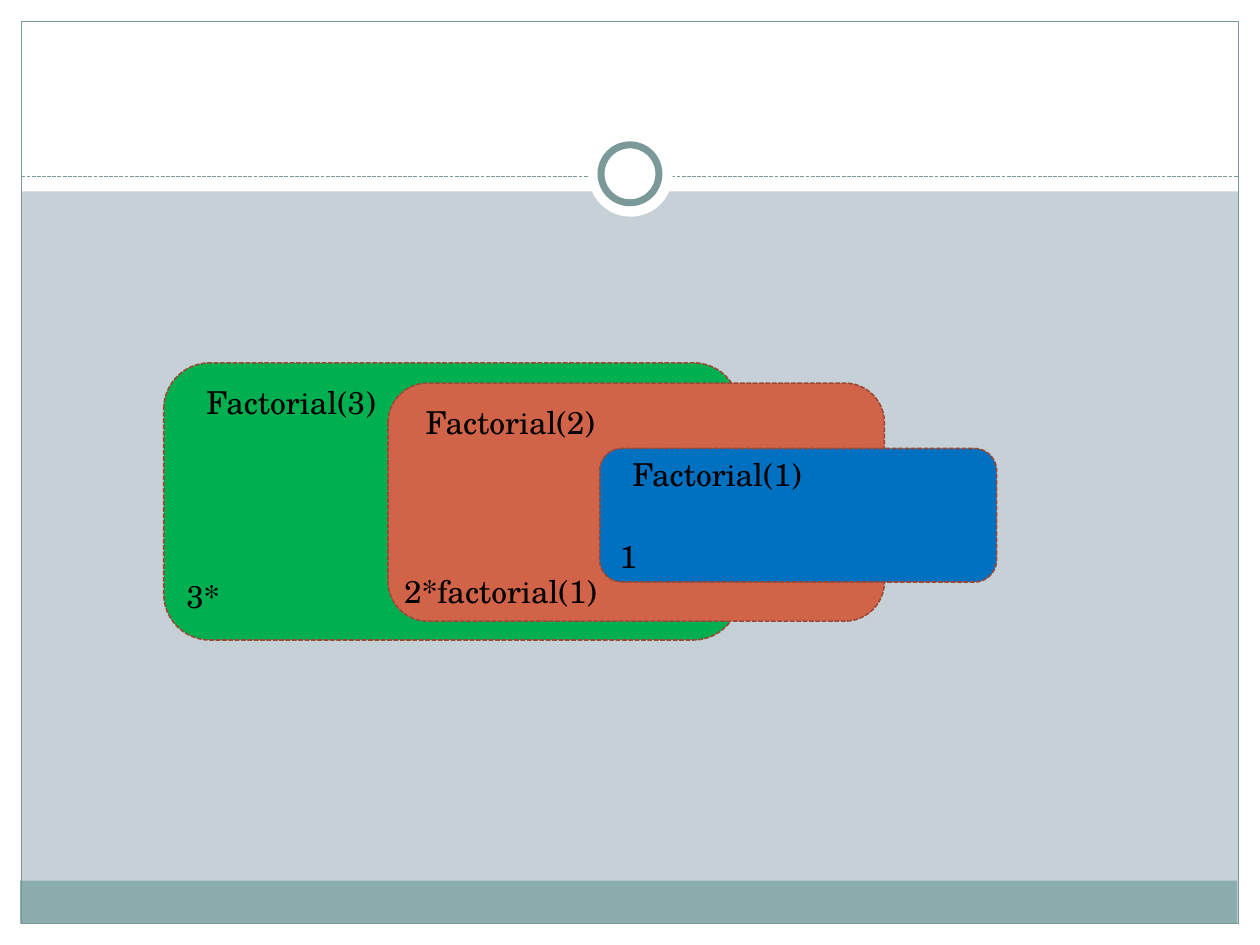
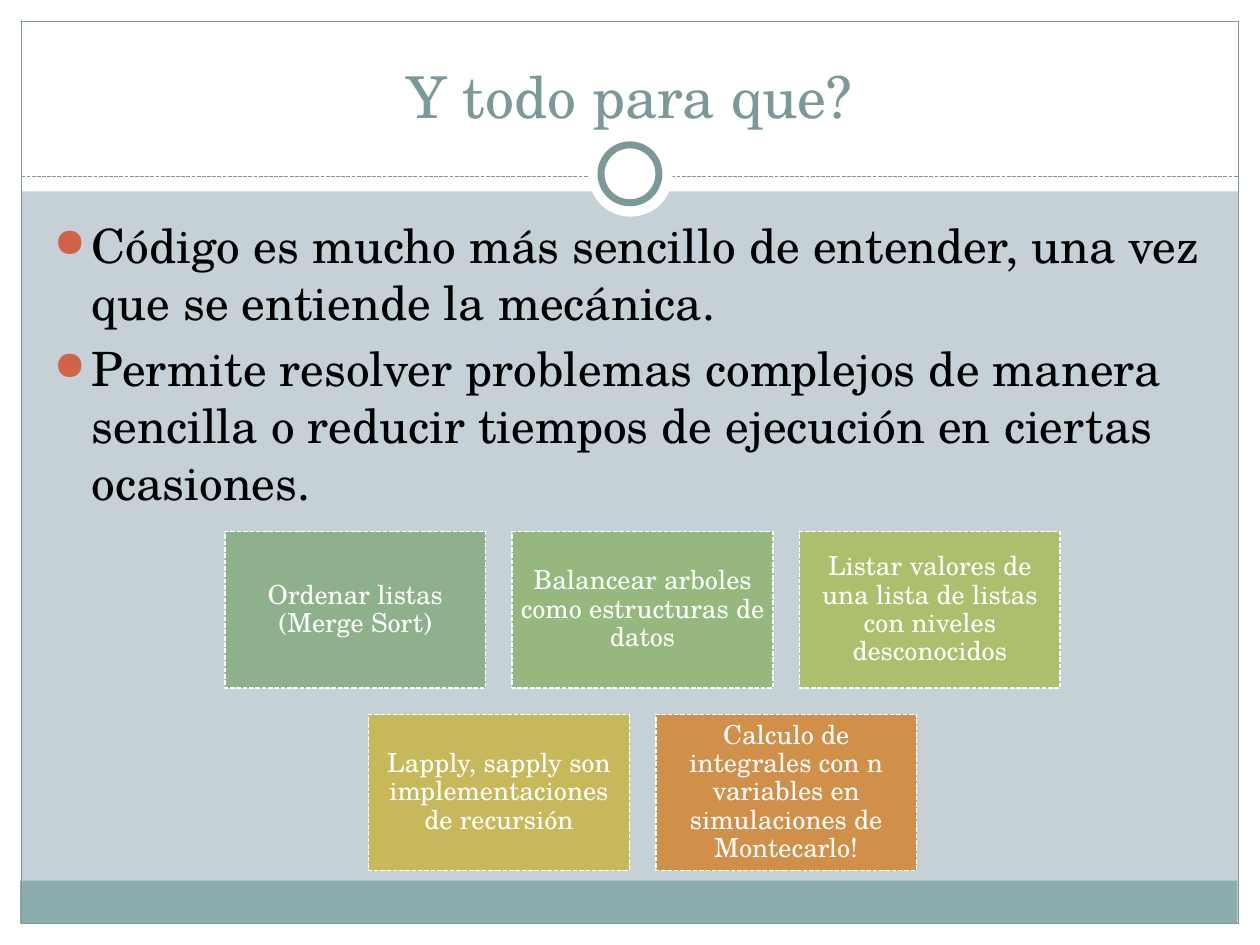
"""Build two slides on recursion: nested factorial calls and what recursion is for."""
import pptx
import pptx.dml.color
import pptx.enum.dml
import pptx.enum.shapes
import pptx.enum.text
import pptx.oxml.ns
import pptx.util
from lxml import etree

Inches = pptx.util.Inches
Pt = pptx.util.Pt
RGB = pptx.dml.color.RGBColor.from_string
SHAPE = pptx.enum.shapes.MSO_SHAPE
DASH = pptx.enum.dml.MSO_LINE.SQUARE_DOT
ALIGN = pptx.enum.text.PP_ALIGN
ANCHOR = pptx.enum.text.MSO_ANCHOR
qn = pptx.oxml.ns.qn

FONT = "TeX Gyre Schola"
COLORS = {
    "background": "C5D1D7", "white": "FFFFFF", "black": "000000",
    "teal": "7C999A", "footer": "8CADAE", "accent": "D16349",
    "outline": "9B4936", "green": "00B050", "blue": "0070C0",
    "sage": "8FB08C", "leaf": "96B77D", "lime": "ADBF6C",
    "mustard": "C7B95B", "orange": "D19049",
}


def add_box(s, kind, box, fill=None, line=None, width=0.75, dash=None):
    sp = s.shapes.add_shape(kind, *[Inches(v) for v in box])
    sp.shadow.inherit = False
    if fill:
        sp.fill.solid()
        sp.fill.fore_color.rgb = RGB(COLORS[fill])
    else:
        sp.fill.background()
    if line:
        sp.line.color.rgb = RGB(COLORS[line])
        sp.line.width = Pt(width)
        sp.line.dash_style = dash
    else:
        sp.line.fill.background()
    return sp


def add_text(sp, paragraphs, size, color, align=ALIGN.LEFT, anchor=ANCHOR.TOP):
    tf = sp.text_frame
    tf.word_wrap = True
    tf.vertical_anchor = anchor
    for i, text in enumerate(paragraphs):
        p = tf.paragraphs[0] if i == 0 else tf.add_paragraph()
        p.alignment = align
        r = p.add_run()
        r.text = text
        r.font.name = FONT
        r.font.size = Pt(size)
        r.font.color.rgb = RGB(COLORS[color])
    return tf


prs = pptx.Presentation()
prs.slide_width, prs.slide_height = Inches(10), Inches(7.5)

for _ in range(2):
    s = prs.slides.add_slide(prs.slide_layouts[6])
    s.background.fill.solid()
    s.background.fill.fore_color.rgb = RGB(COLORS["background"])
    for band in [(0, 7.33, 10, 0.17), (0, 0, 10, 1.52),
                 (0, 0, 0.17, 7.5), (9.83, 0, 0.17, 7.5)]:
        add_box(s, SHAPE.RECTANGLE, band, "white")
    add_box(s, SHAPE.RECTANGLE, (0.16, 6.99, 9.66, 0.34), "footer")
    add_box(s, SHAPE.RECTANGLE, (0.17, 0.17, 9.66, 7.16), line="teal")
    rule = s.shapes.add_connector(pptx.enum.shapes.MSO_CONNECTOR.STRAIGHT,
                                  Inches(0.17), Inches(1.4), Inches(9.83), Inches(1.4))
    rule.line.color.rgb = RGB(COLORS["teal"])
    rule.line.width = Pt(0.75)
    rule.line.dash_style = DASH
    etree.SubElement(rule.element.spPr, qn("a:effectLst"))
    add_box(s, SHAPE.OVAL, (4.67, 1.05, 0.67, 0.67), "white")
    add_box(s, SHAPE.OVAL, (4.77, 1.15, 0.46, 0.46), "white", "teal", 4)

calls_slide, uses_slide = prs.slides

calls = [
    ((1.3, 2.88, 4.57, 2.2), "green", "Factorial(3)", (1.54, 2.99), "3*", (1.38, 4.53)),
    ((3.08, 3.04, 3.94, 1.89), "accent", "Factorial(2)", (3.28, 3.15), "2*factorial(1)", (3.11, 4.49)),
    ((4.76, 3.56, 3.15, 1.06), "blue", "Factorial(1)", (4.92, 3.56), "1", (4.82, 4.21)),
]
for box, fill, call, call_at, result, result_at in calls:
    add_box(calls_slide, SHAPE.ROUNDED_RECTANGLE, box, fill, "outline", 0.9, DASH)
    for text, (x, y) in [(call, call_at), (result, result_at)]:
        sp = calls_slide.shapes.add_textbox(Inches(x), Inches(y), Inches(1.81), Inches(0.4))
        add_text(sp, [text], 18, "black")

title = uses_slide.shapes.add_textbox(Inches(0.33), Inches(0.25), Inches(9.33), Inches(0.83))
add_text(title, ["Y todo para que?"], 33, "teal", ALIGN.CENTER, ANCHOR.BOTTOM)

body = uses_slide.shapes.add_textbox(Inches(0.33), Inches(1.67), Inches(9.3), Inches(5))
tf = add_text(body, [
    "Código es mucho más sencillo de entender, una vez que se entiende la mecánica.",
    "Permite resolver problemas complejos de manera sencilla o reducir tiempos de ejecución en ciertas ocasiones.",
], 27, "black")
for p in tf.paragraphs:
    pPr = p._p.get_or_add_pPr()
    pPr.set("marL", str(Inches(0.3)))
    pPr.set("indent", str(Inches(-0.3)))
    color = etree.SubElement(pPr, qn("a:buClr"))
    etree.SubElement(color, qn("a:srgbClr"), val=COLORS["accent"])
    etree.SubElement(pPr, qn("a:buSzPct"), val="85000")
    etree.SubElement(pPr, qn("a:buChar"), char="●")
tf.paragraphs[1].space_before = Pt(5.4)

card_w, card_h, gap = 2.07, 1.24, 0.21
center = 5.1
rows = [
    [("Ordenar listas (Merge Sort)", "sage"),
     ("Balancear arboles como estructuras de datos", "leaf"),
     ("Listar valores de una lista de listas con niveles desconocidos", "lime")],
    [("Lapply, sapply son implementaciones de recursión", "mustard"),
     ("Calculo de integrales con n variables en simulaciones de Montecarlo!", "orange")],
]
for i, row in enumerate(rows):
    left = center - (len(row) * (card_w + gap) - gap) / 2
    top = 4.22 + i * (card_h + gap)
    for j, (text, fill) in enumerate(row):
        card = add_box(uses_slide, SHAPE.RECTANGLE,
                       (left + j * (card_w + gap), top, card_w, card_h),
                       fill, "white", 0.9, DASH)
        tf = add_text(card, [text], 15, "white", ALIGN.CENTER, ANCHOR.MIDDLE)
        tf.margin_left = tf.margin_right = tf.margin_top = tf.margin_bottom = Inches(0.06)
        tf.paragraphs[0].line_spacing = 0.9

prs.save("out.pptx")
